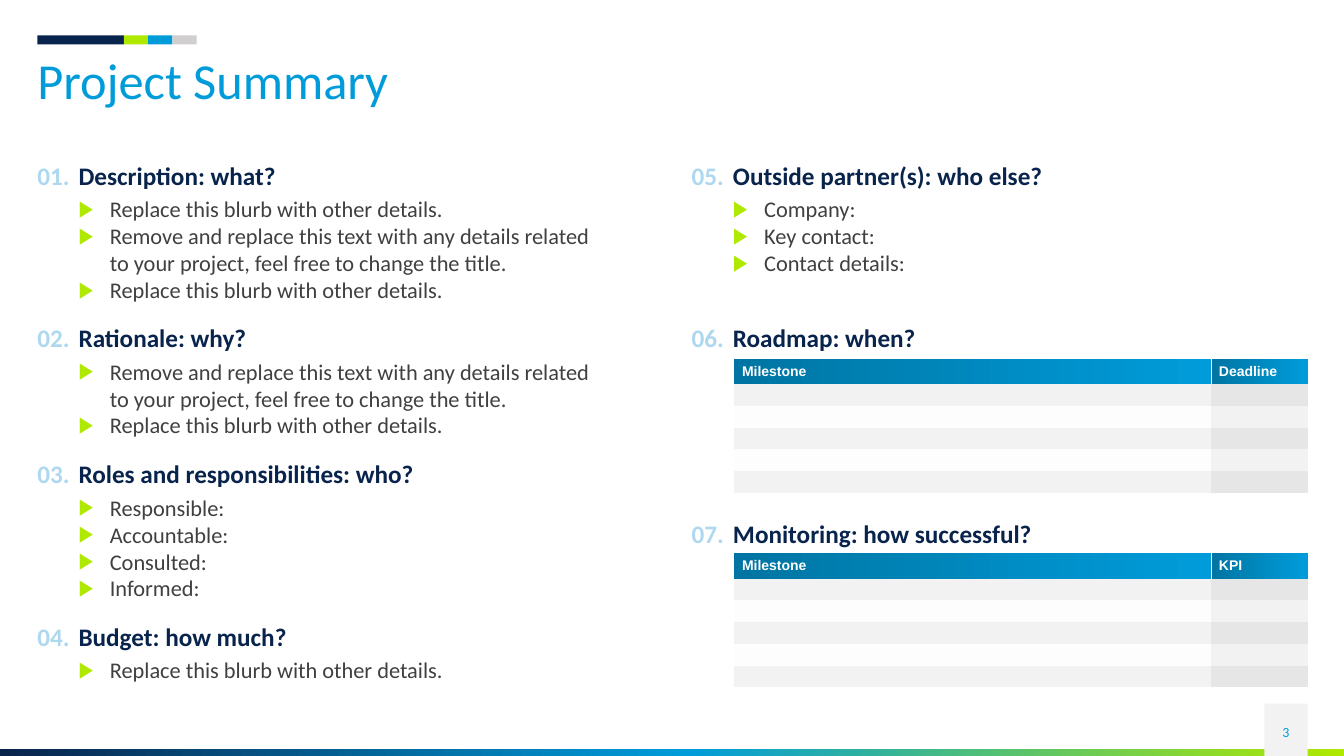
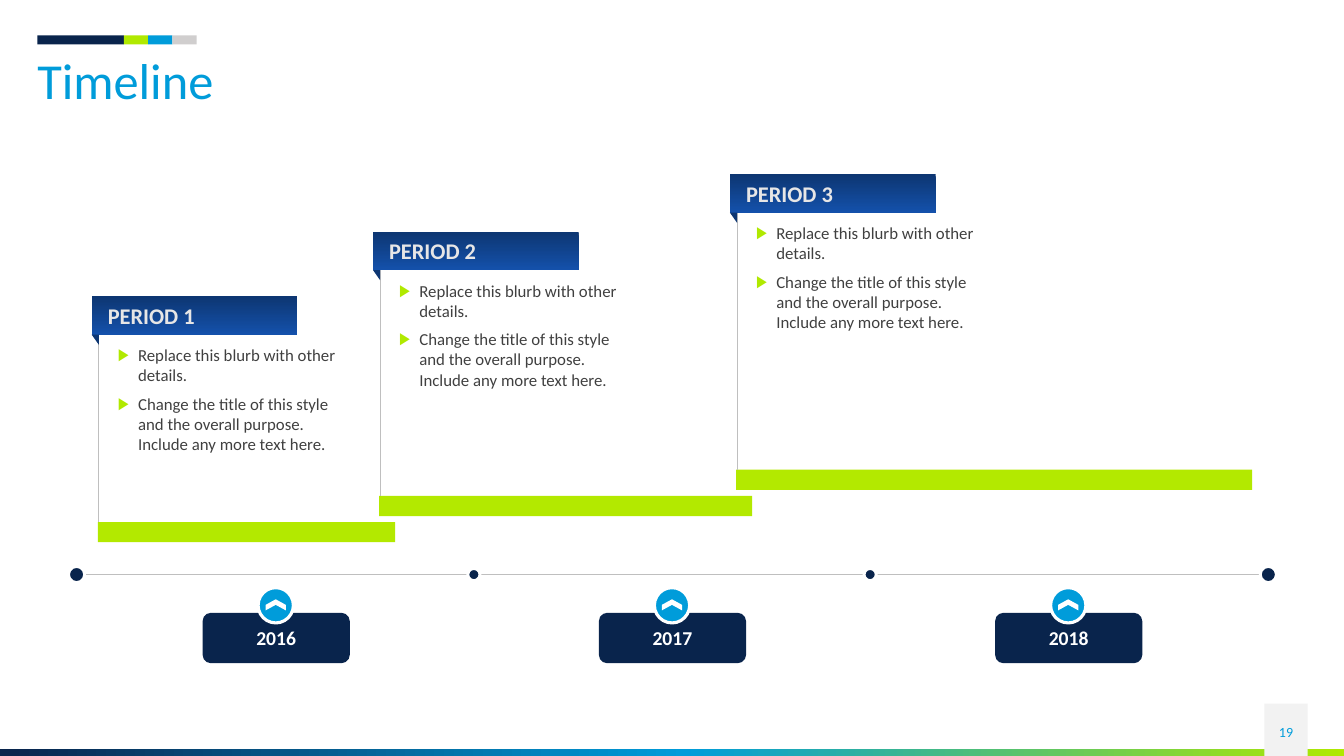
from copy import deepcopy

from lxml import etree
from pptx import Presentation
from pptx.dml.color import RGBColor
from pptx.enum.shapes import MSO_CONNECTOR, MSO_SHAPE
from pptx.enum.text import MSO_ANCHOR, MSO_AUTO_SIZE, PP_ALIGN
from pptx.oxml.ns import qn
from pptx.util import Inches, Pt

RECTANGLE, ROUNDED = MSO_SHAPE.RECTANGLE, MSO_SHAPE.ROUNDED_RECTANGLE
ELLIPSE, CHEVRON, TRIANGLE = MSO_SHAPE.OVAL, MSO_SHAPE.CHEVRON, MSO_SHAPE.RIGHT_TRIANGLE
STRAIGHT = MSO_CONNECTOR.STRAIGHT
TOP, MIDDLE = MSO_ANCHOR.TOP, MSO_ANCHOR.MIDDLE
LEFT, CENTER = PP_ALIGN.LEFT, PP_ALIGN.CENTER
NO_AUTOFIT = MSO_AUTO_SIZE.NONE
TITLE_ONLY = 5
NO_STYLE_NO_GRID = "{2D5ABB26-0587-4C30-8999-92F81FD0307C}"

COLORS = {
    "navy": "09244C", "blue": "009CDA", "lime": "B0E900", "bar": "B3E900",
    "silver": "D0CECE", "pale": "F2F2F2", "gray": "E7E6E6", "line": "BFBFBF",
    "number": "AED8EF", "text": "404040", "white": "FFFFFF",
    "deep blue": "0075A3", "tag dark": "0D3672", "tag light": "1451AB",
}
FORMATS = {
    "title": {"size": Pt(36), "color": "blue"},
    "page": {"size": Pt(10), "color": "blue"},
    "heading": {"size": Pt(18), "color": "navy", "bold": True},
    "number": {"size": Pt(18), "color": "number", "bold": True},
    "list": {"size": Pt(16), "color": "text"},
    "small list": {"size": Pt(12), "color": "text"},
    "table head": {"size": Pt(10), "color": "white", "bold": True, "name": "Arial"},
    "tag": {"size": Pt(16), "color": "gray", "bold": True},
    "year": {"size": Pt(14), "color": "white", "bold": True},
}


def rgb(color):
    return RGBColor.from_string(COLORS[color])


def add_xml(parent, tag, **attributes):
    return etree.SubElement(parent, qn(tag), attributes)


class Deck:
    """Holds the shared style and the current slide."""

    def __init__(self):
        self.presentation = Presentation()
        self.presentation.slide_width = Inches(13.33)
        self.presentation.slide_height = Inches(7.5)
        self.slide = None

    def new_slide(self, title, page):
        layout = self.presentation.slide_layouts[TITLE_ONLY]
        self.slide = self.presentation.slides.add_slide(layout)
        # Footer band and page number
        self.shape(RECTANGLE, 0, 7.43, 13.33, 0.07,
                   [(0, "navy"), (0.51, "blue"), (1, "lime")])
        self.shape(RECTANGLE, 12.54, 6.98, 0.43, 0.52, "pale")
        self.text_box(12.54, 7.06, 0.43, 0.4, [page], "page",
                      align=CENTER, anchor=MIDDLE)
        # Colour strip above the title
        left = 0.37
        for width, color in ((0.86, "navy"), (0.24, "lime"),
                             (0.24, "blue"), (0.24, "silver")):
            self.shape(RECTANGLE, left, 0.35, width, 0.09, color)
            left += width
        # Title
        placeholder = self.slide.shapes.title
        frame_values = {"left": 0.37, "top": 0.56, "width": 12.6, "height": 0.55}
        for name, value in frame_values.items():
            setattr(placeholder, name, Inches(value))
        self.fill_text(placeholder.text_frame, [title], "title", line_spacing=0.9)

    def paint(self, fill, color, angle=0):
        """Fill with one colour, or with a list of (position, colour) stops."""
        if isinstance(color, str):
            fill.solid()
            fill.fore_color.rgb = rgb(color)
            return
        fill.gradient()
        fill.gradient_angle = angle
        first = fill.gradient_stops[0]._gs
        for _ in color[2:]:
            first.getparent().append(deepcopy(first))
        for stop, (position, name) in zip(fill.gradient_stops, color):
            stop.position = position
            stop.color.rgb = rgb(name)

    def fill_text(self, frame, lines, style, align=LEFT, anchor=TOP,
                  insets=(0, 0, 0, 0), bullet_indent=0, **spacing):
        frame.word_wrap = True
        frame.auto_size = NO_AUTOFIT
        frame.vertical_anchor = anchor
        for side, inset in zip(("left", "top", "right", "bottom"), insets):
            setattr(frame, f"margin_{side}", Inches(inset))
        for index, line in enumerate(lines):
            paragraph = frame.paragraphs[0] if index == 0 else frame.add_paragraph()
            paragraph.alignment = align
            for name, value in spacing.items():
                setattr(paragraph, name, value)
            if bullet_indent:
                self.bullet(paragraph, Inches(bullet_indent))
            self.add_text(paragraph, line, style)

    def add_text(self, paragraph, text, style):
        run = paragraph.add_run()
        run.text = text
        for name, value in {"name": "Calibri", **FORMATS[style]}.items():
            if name == "color":
                run.font.color.rgb = rgb(value)
            else:
                setattr(run.font, name, value)

    def bullet(self, paragraph, indent):
        properties = paragraph._p.get_or_add_pPr()
        properties.set("marL", str(indent))
        properties.set("indent", str(-indent))
        add_xml(add_xml(properties, "a:buClr"), "a:srgbClr", val=COLORS["lime"])
        add_xml(properties, "a:buFont", typeface="Arial")
        add_xml(properties, "a:buChar", char="▶")

    def text_box(self, left, top, width, height, lines, style, **options):
        box = self.slide.shapes.add_textbox(
            Inches(left), Inches(top), Inches(width), Inches(height))
        self.fill_text(box.text_frame, lines, style, **options)

    def shape(self, kind, left, top, width, height, color,
              outline=0, rotation=0, angle=0):
        shape = self.slide.shapes.add_shape(
            kind, Inches(left), Inches(top), Inches(width), Inches(height))
        shape.shadow.inherit = False
        shape.rotation = rotation
        self.paint(shape.fill, color, angle)
        if outline:
            shape.line.color.rgb = rgb("white")
            shape.line.width = Pt(outline)
        else:
            shape.line.fill.background()
        return shape

    def line(self, left, top, right, bottom):
        connector = self.slide.shapes.add_connector(
            STRAIGHT, Inches(left), Inches(top), Inches(right), Inches(bottom))
        connector.line.color.rgb = rgb("line")
        connector.line.width = Pt(0.75)
        add_xml(connector._element.spPr, "a:effectLst")

    def section(self, left, top, number, heading, items=()):
        self.text_box(left, top, 0.4, 0.34, [f"{number:02}."], "number")
        self.text_box(left + 0.41, top, 5.17, 0.34, [heading], "heading")
        if items:
            self.text_box(left + 0.41, top + 0.35, 5.17, 0.27 * len(items) + 0.04,
                          items, "list", bullet_indent=0.31)

    def table(self, left, top, headers, body_rows=5):
        widths, head_height, row_height = (4.73, 0.96), 0.25, 0.216
        frame = self.slide.shapes.add_table(
            body_rows + 1, len(headers), Inches(left), Inches(top),
            Inches(sum(widths)), Inches(head_height + body_rows * row_height))
        table = frame.table
        table._tbl.tblPr.find(qn("a:tableStyleId")).text = NO_STYLE_NO_GRID
        for column, width in zip(table.columns, widths):
            column.width = Inches(width)
        for index, row in enumerate(table.rows):
            row.height = Inches(row_height if index else head_height)
            for column, cell in enumerate(row.cells):
                cell.margin_top = cell.margin_bottom = Inches(0.02)
                cell.margin_left = cell.margin_right = Inches(0.08)
                cell.vertical_anchor = MIDDLE
                if index == 0:
                    self.head_cell(cell, column, headers[column])
                else:
                    self.body_cell(cell, column, index % 2 == 1)

    def head_cell(self, cell, column, header):
        self.paint(cell.fill, [(0, "deep blue"), (1, "blue")])
        self.add_text(cell.text_frame.paragraphs[0], header, "table head")
        self.cell_border(cell, "a:lnL" if column else "a:lnR")

    def body_cell(self, cell, column, banded):
        self.paint(cell.fill, "gray" if column and banded else "pale")
        add_xml(cell.text_frame.paragraphs[0]._p, "a:endParaRPr", sz="600")
        if not column and not banded:
            color = cell._tc.tcPr.find(".//" + qn("a:srgbClr"))
            add_xml(color, "a:alpha", val="15000")

    def cell_border(self, cell, tag):
        properties = cell._tc.tcPr
        border = add_xml(properties, tag, w=str(Pt(0.5)))
        add_xml(add_xml(border, "a:solidFill"), "a:srgbClr", val=COLORS["white"])
        properties.insert(0, border)

    def period(self, left, top, name, items, bar_top, bar_width):
        self.shape(RECTANGLE, left + 0.06, bar_top, bar_width, 0.2, "bar")
        self.line(left + 0.07, bar_top, left + 0.07, top + 0.17)
        self.text_box(left + 0.26, top + 0.48, 2.3, 1.21, items, "small list",
                      bullet_indent=0.2, space_before=Pt(6))
        tag = self.shape(RECTANGLE, left, top, 2.04, 0.38,
                         [(0, "tag dark"), (1, "tag light")], angle=270)
        self.fill_text(tag.text_frame, [name], "tag", anchor=MIDDLE,
                       insets=(0.16, 0.08, 0.08, 0.08), space_before=Pt(5.3))
        self.shape(TRIANGLE, left, top + 0.38, 0.07, 0.1, "tag dark", rotation=180)

    def dot(self, center, size):
        self.shape(ELLIPSE, center - size / 2, 5.7 - size / 2, size, size,
                   "navy", outline=2)

    def year(self, center, label):
        box = self.shape(ROUNDED, center - 0.73, 6.08, 1.46, 0.5, "navy")
        self.fill_text(box.text_frame, [label], "year", align=CENTER,
                       anchor=MIDDLE, space_before=Pt(5.3))
        self.shape(ELLIPSE, center - 0.18, 5.83, 0.35, 0.35, "blue", outline=2.25)
        self.shape(CHEVRON, center - 0.06, 5.9, 0.11, 0.2, "white", rotation=270)


deck = Deck()

# Project summary
BLURB = "Replace this blurb with other details."
DETAILS = ("Remove and replace this text with any details related "
           "to your project, feel free to change the title.")
LEFT_COLUMN, RIGHT_COLUMN = 0.37, 6.86
SECTIONS = [
    (LEFT_COLUMN, 1.59, "Description: what?", [BLURB, DETAILS, BLURB]),
    (LEFT_COLUMN, 3.2, "Rationale: why?", [DETAILS, BLURB]),
    (LEFT_COLUMN, 4.55, "Roles and responsibilities: who?",
     ["Responsible:", "Accountable:", "Consulted:", "Informed:"]),
    (LEFT_COLUMN, 6.16, "Budget: how much?", [BLURB]),
    (RIGHT_COLUMN, 1.59, "Outside partner(s): who else?",
     ["Company:", "Key contact:", "Contact details:"]),
    (RIGHT_COLUMN, 3.2, "Roadmap: when?", []),
    (RIGHT_COLUMN, 5.14, "Monitoring: how successful?", []),
]
deck.new_slide("Project Summary", "3")
for number, (left, top, heading, items) in enumerate(SECTIONS, 1):
    deck.section(left, top, number, heading, items)
for top, measure in ((3.56, "Deadline"), (5.49, "KPI")):
    deck.table(7.28, top, ["Milestone", measure])

# Timeline
PERIOD_ITEMS = [BLURB, "Change the title of this style and the overall purpose. "
                       "Include any more text here."]
PERIODS = [(0.91, 2.94, 2.95), (3.7, 2.3, 3.7), (7.24, 1.73, 5.12)]
deck.new_slide("Timeline", "19")
deck.line(0.68, 5.7, 12.65, 5.7)
for center, size in ((0.76, 0.16), (4.7, 0.12), (8.63, 0.12), (12.58, 0.16)):
    deck.dot(center, size)
for index, (left, top, bar_width) in enumerate(PERIODS):
    deck.year(2.74 + 3.93 * index, str(2016 + index))
    deck.period(left, top, f"PERIOD {index + 1}", PERIOD_ITEMS,
                5.18 - 0.26 * index, bar_width)

deck.presentation.save("out.pptx")
